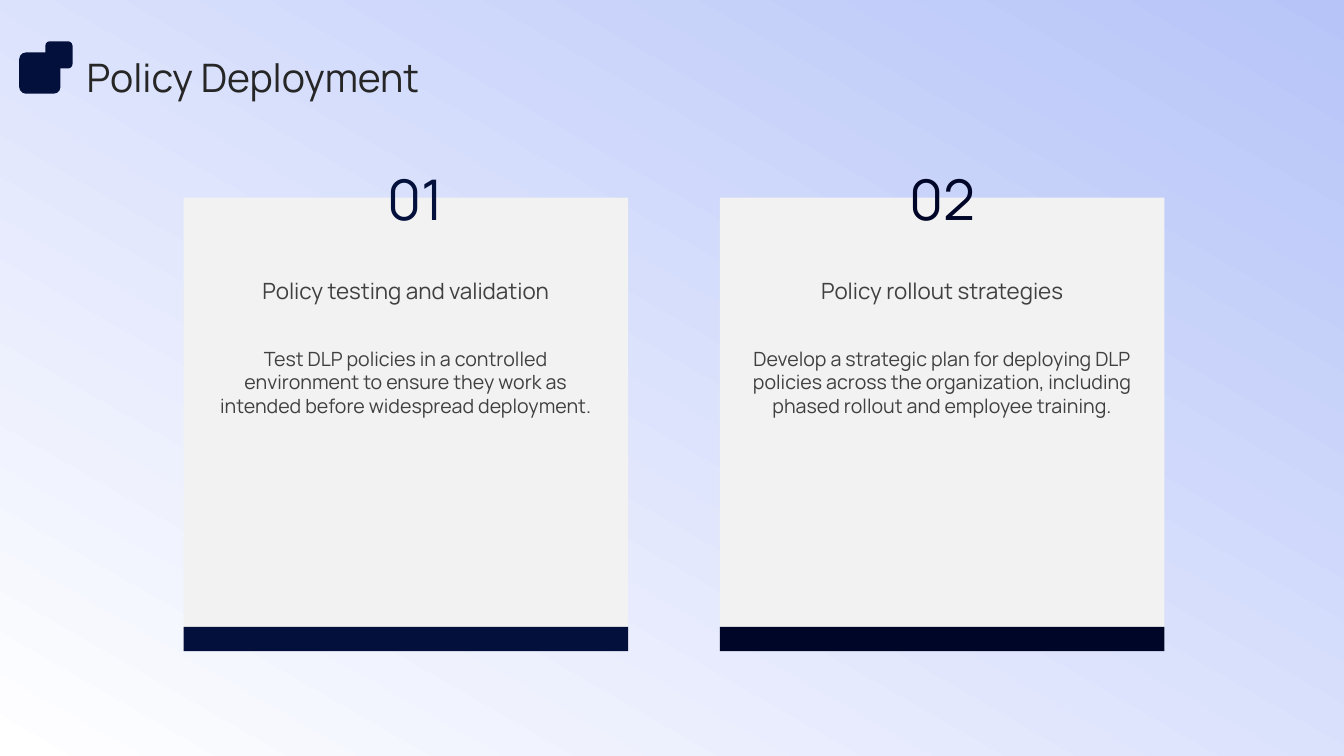
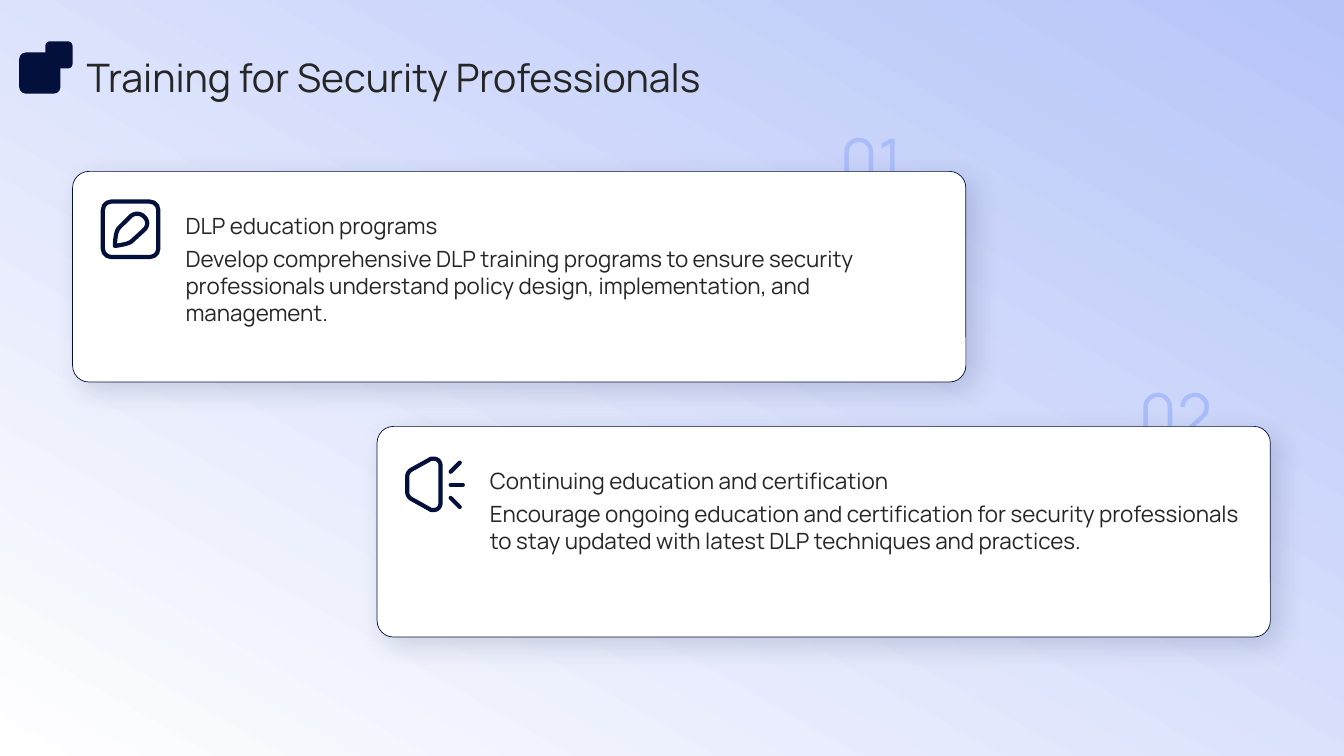
import pptx
import pptx.dml.color
import pptx.enum.shapes
import pptx.enum.text
import pptx.oxml
import pptx.oxml.ns
import pptx.util
import lxml.etree

Inches = pptx.util.Inches
Pt = pptx.util.Pt
RGBColor = pptx.dml.color.RGBColor
SHAPE = pptx.enum.shapes.MSO_SHAPE
ANCHOR = pptx.enum.text.MSO_ANCHOR
ALIGN = pptx.enum.text.PP_ALIGN
qn = pptx.oxml.ns.qn

NAVY = RGBColor(0x03, 0x10, 0x3B)
MIDNIGHT = RGBColor(0x00, 0x06, 0x27)
SKY = RGBColor(0xB6, 0xC4, 0xF8)
PALE_BLUE = RGBColor(0xAA, 0xBD, 0xFB)
WHITE = RGBColor(0xFF, 0xFF, 0xFF)
PANEL = RGBColor(0xF2, 0xF2, 0xF2)
INK = RGBColor(0x26, 0x26, 0x26)
GREY = RGBColor(0x40, 0x40, 0x40)

FONT = "Manrope"
NO_INSET = dict.fromkeys(("margin_left", "margin_top", "margin_right", "margin_bottom"), 0)
MIDDLE = {"vertical_anchor": ANCHOR.MIDDLE}
BOTTOM = {"vertical_anchor": ANCHOR.BOTTOM}

STEPS = [
    (1.82, 3.25, NAVY, "01", "Policy testing and validation",
     "Test DLP policies in a controlled environment to ensure they work as "
     "intended before widespread deployment."),
    (7.14, 8.48, MIDNIGHT, "02", "Policy rollout strategies",
     "Develop a strategic plan for deploying DLP policies across the organization, "
     "including phased rollout and employee training."),
]

LEAF = [(0.14, 0.46), (0.14, 0.4, 0.15, 0.31, 0.18, 0.28), (0.29, 0.17),
        (0.33, 0.13, 0.39, 0.13, 0.43, 0.17), (0.47, 0.21, 0.47, 0.26, 0.43, 0.3),
        (0.31, 0.41), (0.28, 0.44, 0.2, 0.45, 0.14, 0.46)]
HORN = [(0.28, 0.04), (0.33, 0.04, 0.35, 0.08, 0.35, 0.11), (0.35, 0.48),
        (0.35, 0.51, 0.33, 0.55, 0.28, 0.55), (0.26, 0.55, 0.25, 0.55, 0.24, 0.54),
        (0.06, 0.44), (0.04, 0.43, 0.02, 0.4, 0.02, 0.38), (0.02, 0.21),
        (0.02, 0.19, 0.04, 0.16, 0.06, 0.15), (0.24, 0.05),
        (0.25, 0.04, 0.27, 0.04, 0.28, 0.04)]
RAYS = [(0.45, 0.17, 0.54, 0.08), (0.45, 0.3, 0.57, 0.3), (0.45, 0.43, 0.54, 0.52)]


def set_all(obj, values):
    """Set every attribute in values on obj."""
    for name, value in values.items():
        setattr(obj, name, value)


def add_text(s, box, text, size, color, frame=NO_INSET, align=ALIGN.LEFT):
    """Add a wrapped one-paragraph text box and return its run."""
    tf = s.shapes.add_textbox(*map(Inches, box)).text_frame
    set_all(tf, {"word_wrap": True, **frame})
    p = tf.paragraphs[0]
    p.alignment = align
    r = p.add_run()
    r.text = text
    set_all(r.font, {"name": FONT, "size": Pt(size)})
    r.font.color.rgb = color
    return r


def add_block(s, kind, box, color, adj=None):
    """Add a filled preset shape without line or shadow."""
    sp = s.shapes.add_shape(kind, *map(Inches, box))
    sp.shadow.inherit = False
    sp.fill.solid()
    sp.fill.fore_color.rgb = color
    sp.line.fill.background()
    if adj is not None:
        sp.adjustments[0] = adj
    return sp


def set_gradient(fill, first, last, angle, start=0):
    """Give a fill a two-stop linear gradient."""
    fill.gradient()
    fill.gradient_angle = angle
    for stop, color, position in zip(fill.gradient_stops, (first, last), (start, 1)):
        stop.color.rgb = color
        stop.position = position


def add_shadow(sp):
    """Add a soft navy shadow towards the lower right."""
    effects = sp._element.spPr.find(qn("a:effectLst"))
    shadow = lxml.etree.SubElement(effects, qn("a:outerShdw"), {
        "blurRad": str(Pt(20)), "dist": str(Pt(8)), "dir": "2700000",
        "algn": "tl", "rotWithShape": "0"})
    color = lxml.etree.SubElement(shadow, qn("a:srgbClr"), val=str(NAVY))
    lxml.etree.SubElement(color, qn("a:alpha"), val="15000")


def set_stroke(sp):
    """Give a shape the thick navy round-ended icon stroke."""
    sp.line.color.rgb = NAVY
    sp.line.width = Pt(3)
    sp.line._get_or_add_ln().set("cap", "rnd")


def trace(segments, steps=8):
    """Turn corner points and cubic curves into a list of points."""
    points = [segments[0]]
    for seg in segments[1:]:
        if len(seg) == 2:
            points.append(seg)
            continue
        ctrl = [points[-1], seg[:2], seg[2:4], seg[4:]]
        for i in range(1, steps + 1):
            t = i / steps
            weights = ((1 - t) ** 3, 3 * t * (1 - t) ** 2, 3 * t * t * (1 - t), t ** 3)
            points.append(tuple(sum(w * c[k] for w, c in zip(weights, ctrl)) for k in (0, 1)))
    return points


def add_outline(s, x, y, segments):
    """Add a closed, unfilled icon outline."""
    points = [(Inches(x + dx), Inches(y + dy)) for dx, dy in trace(segments)]
    builder = s.shapes.build_freeform(*points[0])
    builder.add_line_segments(points[1:], close=True)
    sp = builder.convert_to_shape()
    sp.shadow.inherit = False
    sp.fill.background()
    set_stroke(sp)


def draw_pencil(s, x, y):
    """Draw a leaf-shaped pencil in a rounded square."""
    frame = add_block(s, SHAPE.ROUNDED_RECTANGLE, (x + 0.02, y + 0.02, 0.55, 0.55), WHITE, 0.15)
    set_stroke(frame)
    add_outline(s, x, y, LEAF)


def draw_megaphone(s, x, y):
    """Draw a horn with three sound rays."""
    add_outline(s, x, y, HORN)
    for x1, y1, x2, y2 in RAYS:
        ray = s.shapes.add_connector(
            pptx.enum.shapes.MSO_CONNECTOR.STRAIGHT,
            Inches(x + x1), Inches(y + y1), Inches(x + x2), Inches(y + y2))
        set_stroke(ray)
        lxml.etree.SubElement(ray._element.spPr, qn("a:effectLst"))


def add_slide(prs, title):
    """Add a blank slide with the title and its two-square mark."""
    s = prs.slides.add_slide(prs.slide_layouts[6])
    add_text(s, (0.86, 0.51, 11.67, 0.51), title, 28, INK, {**NO_INSET, **MIDDLE})
    for x, y, side in ((0.19, 0.52, 0.41), (0.45, 0.41, 0.27)):
        add_block(s, SHAPE.ROUNDED_RECTANGLE, (x, y, side, side), NAVY)
    return s


def add_step(s, box, number_x, color, number, heading, body):
    """Add a grey panel with a base band, a number and centred text."""
    x, y, w, h = box
    band = 0.24
    add_block(s, SHAPE.RECTANGLE, box, PANEL)
    add_block(s, SHAPE.RECTANGLE, (x, y + h - band, w, band), color)
    pad = 0.22
    add_text(s, (x + pad, y + 0.5, w - 2 * pad, 0.85), heading, 16, GREY, MIDDLE, ALIGN.CENTER)
    add_text(s, (x + pad, y + 1.43, w - 2 * pad, 2.52), body, 14, GREY, {}, ALIGN.CENTER)
    add_text(s, (number_x, y - 0.35, 1.74, 0.71), number, 40, color,
             {**NO_INSET, **MIDDLE}, ALIGN.CENTER)


def add_card(s, box, number, draw_icon, heading, body):
    """Add a white shadowed card with an icon, over a fading number."""
    x, y, w, h = box
    r = add_text(s, (x + 7.34, y - 0.46, 1.17, 0.67), number, 44, PALE_BLUE,
                 {**NO_INSET, **MIDDLE}, ALIGN.CENTER)
    set_gradient(r.font.fill, PALE_BLUE, WHITE, 270, 0.25)
    end = list(r._r.iter(qn("a:srgbClr")))[-1]
    lxml.etree.SubElement(end, qn("a:alpha"), val="0")
    card = add_block(s, SHAPE.ROUNDED_RECTANGLE, box, WHITE, 0.078)
    card.line.color.rgb = NAVY
    card.line.width = Pt(0.5)
    add_shadow(card)
    draw_icon(s, x + 0.28, y + 0.28)
    add_text(s, (x + 1.12, y + 0.28, w - 1.38, 0.39), heading, 16, INK, {**NO_INSET, **BOTTOM})
    add_text(s, (x + 1.12, y + 0.73, w - 1.38, 1.1), body, 16, INK)


def build_deployment(prs):
    """Build the slide with two numbered panels."""
    s = add_slide(prs, "Policy Deployment")
    for x, *step in STEPS:
        add_step(s, (x, 1.96, 4.41, 4.5), *step)


def build_training(prs):
    """Build the slide with two staggered cards."""
    s = add_slide(prs, "Training for Security Professionals")
    cards = [
        (0.72, 1.7, "01", draw_pencil, "DLP education programs",
         "Develop comprehensive DLP training programs to ensure security professionals "
         "understand policy design, implementation, and management."),
        (3.74, 4.23, "02", draw_megaphone, "Continuing education and certification",
         "Encourage ongoing education and certification for security professionals "
         "to stay updated with latest DLP techniques and practices."),
    ]
    for x, y, *content in cards:
        add_card(s, (x, y, 8.86, 2.09), *content)


def main():
    """Build and save the presentation."""
    prs = pptx.Presentation()
    set_all(prs, {"slide_width": Inches(13.33), "slide_height": Inches(7.5)})
    set_gradient(prs.slide_master.background.fill, SKY, WHITE, 240)
    build_deployment(prs)
    build_training(prs)
    prs.save("out.pptx")


if __name__ == "__main__":
    main()
